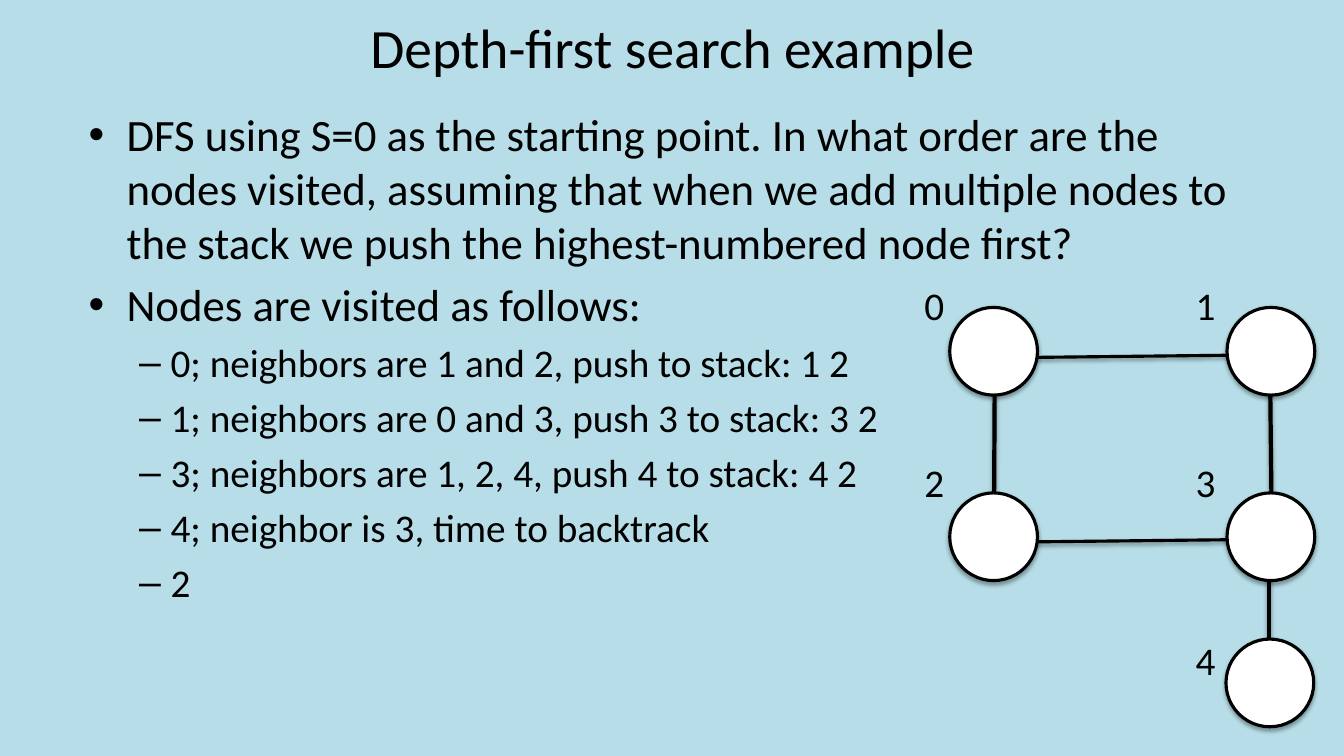
from lxml.etree import SubElement
from pptx import Presentation
from pptx.dml.color import RGBColor
from pptx.enum.shapes import MSO_CONNECTOR, MSO_SHAPE
from pptx.enum.text import MSO_ANCHOR, MSO_AUTO_SIZE, PP_ALIGN
from pptx.oxml.ns import qn
from pptx.util import Inches, Pt

BACKGROUND, BLACK, WHITE = "B7DEE8", "000000", "FFFFFF"
FONT = "Calibri"
NODE_SIZE = 0.87

QUESTION = ("DFS using S=0 as the starting point. In what order are the nodes "
            "visited, assuming that when we add multiple nodes to the stack we "
            "push the highest-numbered node first?")
BULLETS = [
    (0, QUESTION),
    (0, "Nodes are visited as follows:"),
    (1, "0; neighbors are 1 and 2, push to stack: 1 2"),
    (1, "1; neighbors are 0 and 3, push 3 to stack: 3 2"),
    (1, "3; neighbors are 1, 2, 4, push 4 to stack: 4 2"),
    (1, "4; neighbor is 3, time to backtrack"),
    (1, "2"),
]
LEVEL_SIZES = [32, 28]

# Name: (node left, node top, label left, label top)
NODES = {
    "0": (9.42, 3.05, 9.07, 2.74),
    "1": (12.17, 3.05, 11.76, 2.74),
    "2": (9.42, 4.89, 9.07, 4.5),
    "3": (12.17, 4.89, 11.76, 4.5),
    "4": (12.16, 6.34, 11.76, 6.26),
}
# Start, end, line width
EDGES = [
    ((12.59, 3.07), (12.61, 4.89), 3),
    ((9.87, 3.04), (9.86, 4.89), 3),
    ((9.87, 3.55), (12.59, 3.52), 2.25),
    ((9.87, 5.38), (12.59, 5.35), 2.25),
    ((12.59, 5.35), (12.59, 6.77), 3),
]


def color(value):
    """Turn a hex string into a colour."""
    return RGBColor.from_string(value)


def place(shape, left, top, width, height):
    """Move and size a shape, in inches."""
    shape.left, shape.top = Inches(left), Inches(top)
    shape.width, shape.height = Inches(width), Inches(height)


def write(paragraph, text, size=28, fill=BLACK, align=None, level=0):
    """Put formatted text in a paragraph."""
    paragraph.level = level
    paragraph.alignment = align
    run = paragraph.add_run()
    run.text = text
    run.font.name = FONT
    run.font.size = Pt(size)
    run.font.color.rgb = color(fill)


def outline(shape, width):
    """Give a shape or connector a black line."""
    shape.line.color.rgb = color(BLACK)
    shape.line.width = Pt(width)


def cast_shadow(shape, opacity, distance):
    """Add a soft shadow that falls straight down."""
    effects = SubElement(shape._element.spPr, qn("a:effectLst"))
    shadow = SubElement(effects, qn("a:outerShdw"), blurRad=str(Pt(3.1)),
                        dist=str(Pt(distance)), dir="5400000", rotWithShape="0")
    tint = SubElement(shadow, qn("a:srgbClr"), val=BLACK)
    SubElement(tint, qn("a:alpha"), val=str(opacity * 1000))


def add_title(slide, text):
    """Fill the title placeholder."""
    title = slide.shapes.title
    place(title, 2.17, 0.06, 9, 0.8)
    title.text_frame.auto_size = MSO_AUTO_SIZE.NONE
    title.text_frame.vertical_anchor = MSO_ANCHOR.MIDDLE
    write(title.text_frame.paragraphs[0], text, size=39.6, align=PP_ALIGN.CENTER)


def add_bullets(slide, bullets):
    """Fill the body placeholder with a two-level list."""
    body = slide.placeholders[1]
    place(body, 0.78, 1.01, 12, 6.24)
    frame = body.text_frame
    frame.auto_size = MSO_AUTO_SIZE.NONE
    for index, (level, text) in enumerate(bullets):
        paragraph = frame.add_paragraph() if index else frame.paragraphs[0]
        write(paragraph, text, size=LEVEL_SIZES[level], level=level)


def add_edge(slide, start, end, width):
    """Draw a line between two graph nodes."""
    points = [Inches(value) for value in start + end]
    edge = slide.shapes.add_connector(MSO_CONNECTOR.STRAIGHT, *points)
    outline(edge, width)
    cast_shadow(edge, 38, 1.6)


def add_node(slide, left, top):
    """Draw a white graph node."""
    node = slide.shapes.add_shape(MSO_SHAPE.OVAL, Inches(left), Inches(top),
                                  Inches(NODE_SIZE), Inches(NODE_SIZE))
    node.fill.solid()
    node.fill.fore_color.rgb = color(WHITE)
    outline(node, 2.25)
    cast_shadow(node, 35, 1.8)


def add_label(slide, text, left, top):
    """Write the number of a node beside it."""
    label = slide.shapes.add_textbox(Inches(left), Inches(top),
                                     Inches(0.4), Inches(0.57))
    label.text_frame.word_wrap = False
    label.text_frame.auto_size = MSO_AUTO_SIZE.SHAPE_TO_FIT_TEXT
    write(label.text_frame.paragraphs[0], text)


def main():
    """Build the slide and save it."""
    deck = Presentation()
    deck.slide_width, deck.slide_height = Inches(13.33), Inches(7.5)
    slide = deck.slides.add_slide(deck.slide_layouts[1])
    slide.background.fill.solid()
    slide.background.fill.fore_color.rgb = color(BACKGROUND)
    add_title(slide, "Depth-first search example")
    add_bullets(slide, BULLETS)
    for start, end, width in EDGES:
        add_edge(slide, start, end, width)
    for name, (left, top, label_left, label_top) in NODES.items():
        add_node(slide, left, top)
        add_label(slide, name, label_left, label_top)
    deck.save("out.pptx")


main()
